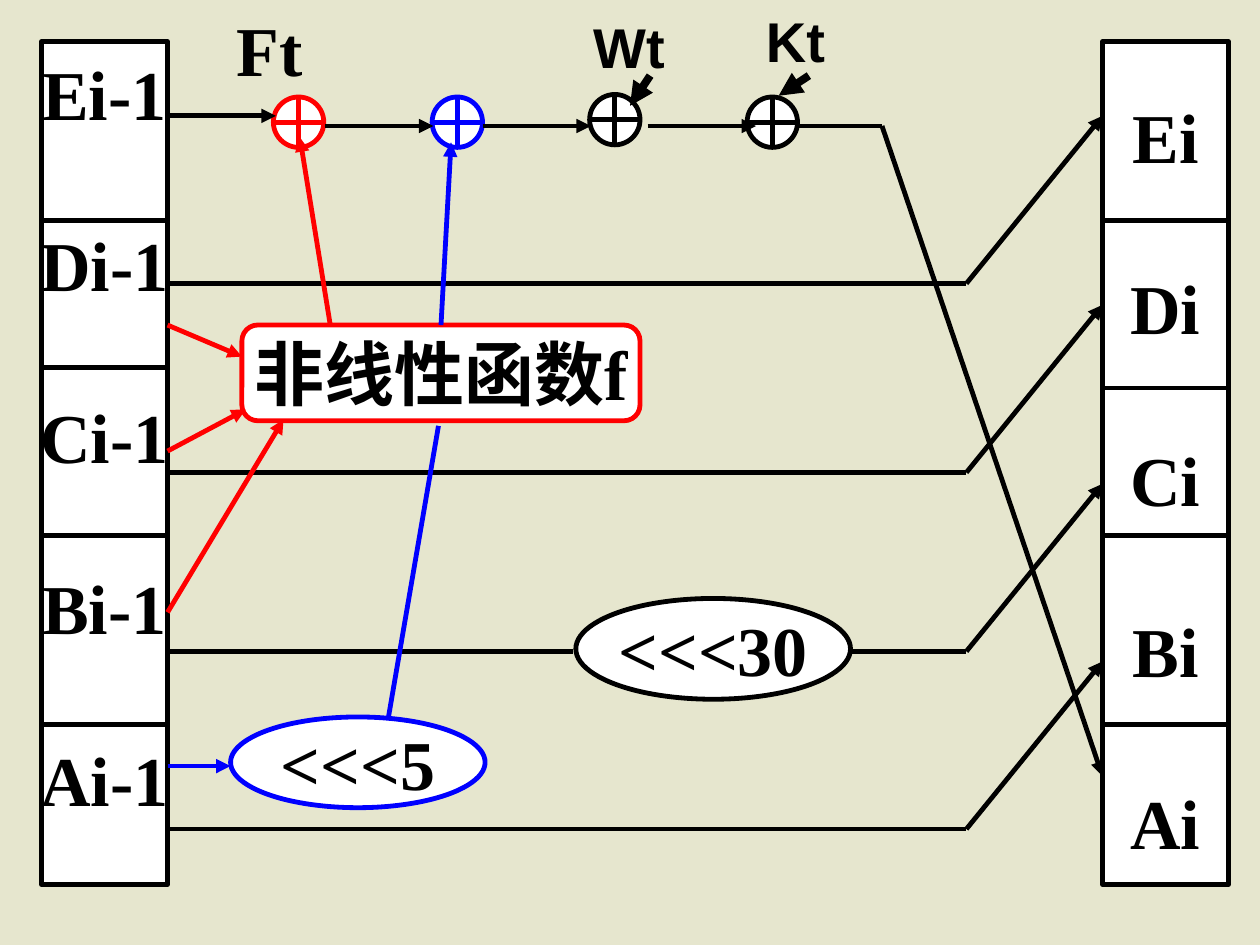
import pptx
import pptx.dml.color
import pptx.enum.shapes
import pptx.enum.text
import pptx.oxml
import pptx.oxml.ns
import pptx.util
from dataclasses import dataclass

Inches = pptx.util.Inches
Pt = pptx.util.Pt
SHAPE = pptx.enum.shapes.MSO_SHAPE
ALIGN = pptx.enum.text.PP_ALIGN
ANCHOR = pptx.enum.text.MSO_ANCHOR


@dataclass(frozen=True)
class Theme:
    background: str = "E6E6CE"
    panel: str = "FFFFFF"
    ink: str = "000000"
    nonlinear: str = "FF0000"
    rotation: str = "0000FF"
    serif: str = "Times New Roman"
    sans: str = "Arial"
    body_size: float = 40
    key_size: float = 32
    stroke: float = 2.75
    key_stroke: float = 4.5


class RoundDiagram:
    def __init__(self, slide, theme):
        self.slide = slide
        self.theme = theme
        slide.background.fill.solid()
        slide.background.fill.fore_color.rgb = self.rgb(theme.background)

    def rgb(self, value):
        return pptx.dml.color.RGBColor.from_string(value)

    def set_text(self, frame, lines, font=None, size=None, align=ALIGN.CENTER, gap=0,
                 **frame_format):
        for name, value in frame_format.items():
            setattr(frame, name, value)
        font_format = {"name": font or self.theme.serif,
                       "size": Pt(size or self.theme.body_size), "bold": True}
        for index, line in enumerate(lines):
            paragraph = frame.add_paragraph() if index else frame.paragraphs[0]
            paragraph.text = line
            paragraph.alignment = align
            if index:
                paragraph.space_before = Pt(gap)
            for name, value in font_format.items():
                setattr(paragraph.font, name, value)
            paragraph.font.color.rgb = self.rgb(self.theme.ink)

    def shape(self, kind, box, color=None):
        shape = self.slide.shapes.add_shape(kind, *map(Inches, box))
        shape.shadow.inherit = False
        shape.fill.solid()
        shape.fill.fore_color.rgb = self.rgb(self.theme.panel)
        shape.line.color.rgb = self.rgb(color or self.theme.ink)
        shape.line.width = Pt(self.theme.stroke)
        return shape

    def operation(self, kind, box, label, color=None):
        shape = self.shape(kind, box, color)
        self.set_text(shape.text_frame, [label], word_wrap=False, vertical_anchor=ANCHOR.MIDDLE)
        return shape

    def register_column(self, left, names, top_inset, dividers):
        column = self.shape(SHAPE.RECTANGLE, (left, 0.33, 1, 6.69))
        self.set_text(column.text_frame, names, gap=50, word_wrap=False,
                      vertical_anchor=ANCHOR.TOP, margin_top=Inches(top_inset))
        for y in dividers:
            self.line((left, y), (left + 1, y))

    def label(self, text, box, font, size):
        frame = self.slide.shapes.add_textbox(*map(Inches, box)).text_frame
        self.set_text(frame, [text], font, size, ALIGN.LEFT, word_wrap=True)

    def line(self, start, end, color=None, width=None, arrow=False):
        line = self.slide.shapes.add_connector(
            pptx.enum.shapes.MSO_CONNECTOR.STRAIGHT, *map(Inches, (*start, *end)))
        line.line.color.rgb = self.rgb(color or self.theme.ink)
        line.line.width = Pt(width or self.theme.stroke)
        properties = line._element.spPr
        namespace = pptx.oxml.ns.nsdecls("a")
        if arrow:
            properties.find(pptx.oxml.ns.qn("a:ln")).append(
                pptx.oxml.parse_xml(f'<a:tailEnd {namespace} type="triangle"/>'))
        properties.append(pptx.oxml.parse_xml(f"<a:effectLst {namespace}/>"))
        return line

    def arrow(self, start, end, color=None, width=None):
        return self.line(start, end, color, width, arrow=True)


def main():
    deck = pptx.Presentation()
    deck.slide_width, deck.slide_height = Inches(10), Inches(7.5)
    theme = Theme()
    diagram = RoundDiagram(deck.slides.add_slide(deck.slide_layouts[6]), theme)
    registers = "EDCBA"
    left_edge, right_edge, bend = 1.33, 8.75, 7.67

    # Register columns before and after the round
    diagram.register_column(0.33, [f"{r}i-1" for r in registers], 0.07, (1.75, 2.92, 4.25, 5.75))
    diagram.register_column(8.75, [f"{r}i" for r in registers], 0.41, (1.75, 3.08, 4.25, 5.75))

    # Adders
    for x, y, color in ((2.17, 0.77, theme.nonlinear), (3.43, 0.77, theme.rotation),
                        (4.68, 0.75, theme.ink), (5.93, 0.77, theme.ink)):
        diagram.shape(SHAPE.FLOWCHART_OR, (x, y, 0.4, 0.4), color)

    # Nonlinear function and rotations
    function = diagram.operation(SHAPE.ROUNDED_RECTANGLE, (1.92, 2.58, 3.16, 0.76),
                                 "非线性函数f", theme.nonlinear)
    diagram.operation(SHAPE.OVAL, (4.57, 4.75, 2.18, 0.8), "<<<30")
    diagram.operation(SHAPE.OVAL, (1.83, 5.69, 2.02, 0.72), "<<<5", theme.rotation)

    # Registers carried over, each moving up to the next one
    for y in (2.25, 3.75, 6.58):
        diagram.line((left_edge, y), (bend, y))
    diagram.line((left_edge, 5.17), (4.55, 5.17))
    diagram.line((6.75, 5.17), (bend, 5.17))
    for y in (2.25, 3.75, 5.17, 6.58):
        diagram.arrow((bend, y), (right_edge, y - 1.33))

    # Addition chain from E to A
    for x, y in ((1.33, 0.92), (2.58, 1), (3.83, 1), (5.14, 1)):
        diagram.arrow((x, y), (x + 0.86, y))
    diagram.line((6.33, 1), (7, 1))
    diagram.arrow((7, 1), (right_edge, 6.16))

    # Inputs and output of the nonlinear function
    for start, end in (((2.62, 2.57), (2.38, 1.09)), ((left_edge, 2.58), (1.92, 2.83)),
                       ((left_edge, 3.58), (1.95, 3.25)), ((left_edge, 4.86), (2.25, 3.33))):
        diagram.arrow(start, end, theme.nonlinear)

    # Rotated A and the path to its adder
    diagram.arrow((left_edge, 6.08), (1.83, 6.08), theme.rotation)
    diagram.line((3.08, 5.71), (3.48, 3.38), theme.rotation)
    rotated_sum = diagram.arrow((3.5, 2.58), (3.58, 1.13), theme.rotation)
    rotated_sum.begin_connect(function, 0)

    # Function, word and constant labels
    diagram.label("Ft", (1.78, 0, 0.78, 0.77), theme.serif, theme.body_size)
    diagram.label("Wt", (4.61, 0.05, 1.02, 0.64), theme.sans, theme.key_size)
    diagram.label("Kt", (5.98, 0, 1.07, 0.64), theme.sans, theme.key_size)
    diagram.arrow((6.42, 0.6), (6.18, 0.76), width=theme.key_stroke)
    diagram.arrow((5.16, 0.6), (5, 0.84), width=theme.key_stroke)

    deck.save("out.pptx")


if __name__ == "__main__":
    main()
